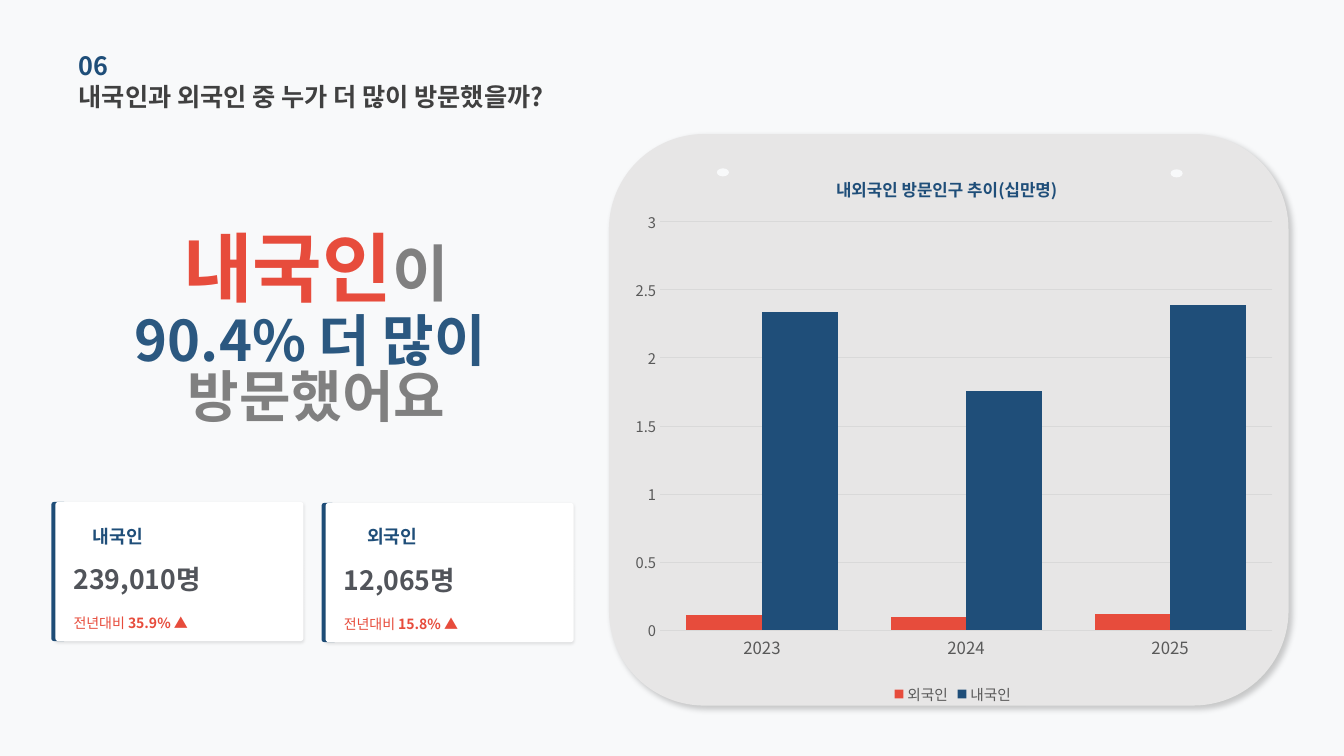
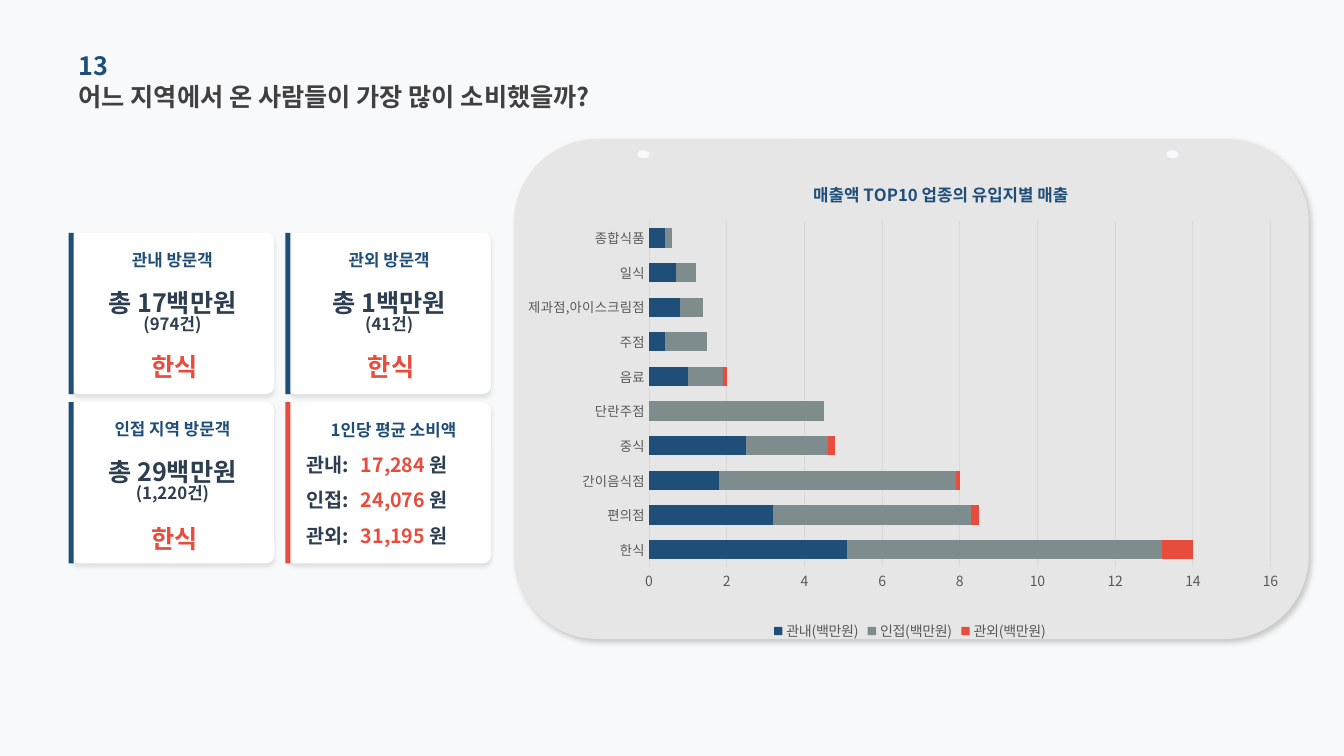
from lxml import etree
from pptx import Presentation
from pptx.chart.data import CategoryChartData
from pptx.dml.color import RGBColor
from pptx.enum.chart import XL_CHART_TYPE, XL_LEGEND_POSITION, XL_TICK_MARK
from pptx.enum.shapes import MSO_SHAPE
from pptx.enum.text import MSO_ANCHOR, PP_ALIGN
from pptx.oxml import parse_xml
from pptx.oxml.ns import nsdecls, qn
from pptx.util import Pt

PX = 9144  # EMU per px, 100 px to the inch
FONT = "Noto Sans CJK KR"
PAPER = RGBColor(0xF8, 0xF9, 0xFA)
PANEL = RGBColor(0xE7, 0xE6, 0xE6)
WHITE = RGBColor(0xFF, 0xFF, 0xFF)
NAVY = RGBColor(0x1F, 0x4E, 0x79)
BLUE = RGBColor(0x2B, 0x58, 0x80)
RED = RGBColor(0xE7, 0x4C, 0x3C)
INK = RGBColor(0x40, 0x40, 0x40)
SLATE = RGBColor(0x2C, 0x3E, 0x50)
AMOUNT = RGBColor(0x51, 0x54, 0x5A)
GRAY = RGBColor(0x80, 0x80, 0x80)
STEEL = RGBColor(0x7F, 0x8C, 0x8D)
AXIS = RGBColor(0x59, 0x59, 0x59)
GRID = RGBColor(0xD9, 0xD9, 0xD9)
LEFT, CENTER = PP_ALIGN.LEFT, PP_ALIGN.CENTER
ROUND = MSO_SHAPE.ROUNDED_RECTANGLE
PANEL_SHADOW = (20, 4, 3, 45)
CARD_SHADOW = (10, 2, 1, 90)
TILE_SHADOW = (10, 3, 2, 90)


def add_box(s, kind, at, fill, shadow=None, adj=None):
    """Add a filled shape; shadow is (opacity %, blur pt, distance pt, degrees)."""
    sp = s.shapes.add_shape(kind, *(v * PX for v in at))
    sp.shadow.inherit = False
    sp.fill.solid()
    sp.fill.fore_color.rgb = fill
    sp.line.fill.background()
    if adj is not None:
        sp.adjustments[0] = adj
    if shadow:
        alpha, blur, dist, angle = shadow
        sp._element.spPr.find(qn("a:effectLst")).append(parse_xml(
            f'<a:outerShdw {nsdecls("a")} blurRad="{Pt(blur)}" dist="{Pt(dist)}" '
            f'dir="{angle * 60000}" algn="ctr" rotWithShape="0"><a:srgbClr val="000000">'
            f'<a:alpha val="{alpha * 1000}"/></a:srgbClr></a:outerShdw>'))


def add_text(s, at, paragraphs, align=LEFT, spacing=None):
    """Add a text box; each paragraph is a list of (text, size, colour, bold) runs."""
    tf = s.shapes.add_textbox(*(v * PX for v in at)).text_frame
    frame = dict(word_wrap=True, vertical_anchor=MSO_ANCHOR.MIDDLE, margin_left=0,
                 margin_right=0, margin_top=0, margin_bottom=0)
    for name, value in frame.items():
        setattr(tf, name, value)
    for i, runs in enumerate(paragraphs):
        p = tf.add_paragraph() if i else tf.paragraphs[0]
        p.alignment = align
        p.line_spacing = spacing
        for text, size, color, bold in runs:
            r = p.add_run()
            r.text = text
            for name, value in dict(size=Pt(size), bold=bold, name=FONT).items():
                setattr(r.font, name, value)
            r.font.color.rgb = color
            etree.SubElement(r.font._element, qn("a:ea")).set("typeface", FONT)


prs = Presentation()
prs.slide_width, prs.slide_height = 1333 * PX, 750 * PX

pages = [
    dict(number="06", title="내국인과 외국인 중 누가 더 많이 방문했을까?",
         panel=(604, 133, 674, 567), holes=[(711, 167), (1161, 168)],
         chart=(615, 148, 660, 555), kind=XL_CHART_TYPE.COLUMN_CLUSTERED,
         heading="내외국인 방문인구 추이(십만명)", heading_at=(0.32, 0.04),
         plot=(0.06, 0.13, 0.92, 0.73), gap=70, overlap=0, top=3, step=0.5,
         cat_size=12, val_size=10.5, legend_size=10.5,
         cats=["2023", "2024", "2025"],
         series=[("외국인", RED, [0.11, 0.1, 0.12]),
                 ("내국인", NAVY, [2.34, 1.76, 2.39])]),
    dict(number="13", title="어느 지역에서 온 사람들이 가장 많이 소비했을까?",
         panel=(510, 138, 788, 496), holes=[(632, 149), (1157, 149)],
         chart=(522, 156, 761, 484), kind=XL_CHART_TYPE.BAR_STACKED,
         heading="매출액 TOP10 업종의 유입지별 매출", heading_at=(0.37, 0.04),
         plot=(0.16, 0.13, 0.81, 0.71), gap=80, overlap=100, top=16, step=2,
         cat_size=9.5, val_size=10, legend_size=10,
         cats=["한식", "편의점", "간이음식점", "중식", "단란주점", "음료", "주점",
               "제과점,아이스크림점", "일식", "종합식품"],
         series=[("관내(백만원)", NAVY, [5.1, 3.2, 1.8, 2.5, 0, 1, 0.4, 0.8, 0.7, 0.4]),
                 ("인접(백만원)", STEEL, [8.1, 5.1, 6.1, 2.1, 4.5, 0.9, 1.1, 0.6, 0.5, 0.2]),
                 ("관외(백만원)", RED, [0.8, 0.2, 0.1, 0.2, 0, 0.1, 0, 0, 0, 0])]),
]

# Title, panel and chart of every slide
slides = []
for page in pages:
    s = prs.slides.add_slide(prs.slide_layouts[6])
    slides.append(s)
    s.background.fill.solid()
    s.background.fill.fore_color.rgb = PAPER
    add_box(s, ROUND, page["panel"], PANEL, PANEL_SHADOW)
    for x, y in page["holes"]:
        add_box(s, MSO_SHAPE.OVAL, (x, y, 12, 8), PAPER)
    add_text(s, (78, 44, 452, 41), [[(page["number"], 18, NAVY, True)]])
    add_text(s, (78, 75, 535, 41), [[(page["title"], 18, INK, True)]])

    data = CategoryChartData()
    data.categories = page["cats"]
    for name, _, values in page["series"]:
        data.add_series(name, values)
    chart = s.shapes.add_chart(page["kind"], *(v * PX for v in page["chart"]), data).chart
    chart.font.name = FONT
    chart.has_legend = True
    chart.legend.position = XL_LEGEND_POSITION.BOTTOM
    chart.legend.include_in_layout = False

    title_tf = chart.chart_title.text_frame
    title_tf.text = page["heading"]
    fonts = [(title_tf.paragraphs[0].runs[0].font, 12, NAVY, True),
             (chart.legend.font, page["legend_size"], AXIS, False),
             (chart.category_axis.tick_labels.font, page["cat_size"], AXIS, False),
             (chart.value_axis.tick_labels.font, page["val_size"], AXIS, False)]
    for font, size, color, bold in fonts:
        for name, value in dict(size=Pt(size), bold=bold, name=FONT).items():
            setattr(font, name, value)
        font.color.rgb = color

    for axis in (chart.category_axis, chart.value_axis):
        axis.major_tick_mark = axis.minor_tick_mark = XL_TICK_MARK.NONE
    value_axis = chart.value_axis
    limits = dict(minimum_scale=0, maximum_scale=page["top"], major_unit=page["step"])
    for name, value in limits.items():
        setattr(value_axis, name, value)
    value_axis.format.line.fill.background()
    for line in (chart.category_axis.format.line, value_axis.major_gridlines.format.line):
        line.color.rgb = GRID
        line.width = Pt(0.75)

    plot = chart.plots[0]
    plot.gap_width, plot.overlap = page["gap"], page["overlap"]
    plot.vary_by_categories = False
    for series, (_, color, _) in zip(plot.series, page["series"]):
        series.format.fill.solid()
        series.format.fill.fore_color.rgb = color

    # Fixed places for the heading and the inner plot area
    title_el = chart.chart_title._element
    plot_el = chart._chartSpace.chart.plotArea
    for el, places, target in ((title_el, page["heading_at"], ""),
                               (plot_el, page["plot"], '<c:layoutTarget val="inner"/>')):
        for old in el.findall(qn("c:layout")):
            el.remove(old)
        keys = ("x", "y", "w", "h")[:len(places)]
        modes = "".join(f'<c:{k}Mode val="edge"/>' for k in keys[:2])
        sizes = "".join(f'<c:{k} val="{v}"/>' for k, v in zip(keys, places))
        layout = parse_xml(f'<c:layout {nsdecls("c")}><c:manualLayout>{target}{modes}{sizes}'
                           '</c:manualLayout></c:layout>')
        el.insert(1 if el is title_el else 0, layout)

# Visitors: headline and two cards
s = slides[0]
add_text(s, (99, 240, 429, 48), [[("내국인", 54, RED, True), ("이", 44, GRAY, True)]], CENTER)
add_text(s, (38, 328, 552, 84), [[("90.4% 더 많이 ", 40, BLUE, True)],
                                 [("방문했어요", 40, GRAY, True)]], CENTER, 0.83)
visitors = [(55, 498, 37, "내국인", "239,010명", "35.9% ▲"),
            (323, 499, 41, "외국인", "12,065명", "15.8% ▲")]
for x, y, indent, group, count, change in visitors:
    add_box(s, ROUND, (x - 4, y, 15, 138), NAVY)
    add_box(s, ROUND, (x, y, 246, 138), WHITE, CARD_SHADOW, 0.02)
    add_text(s, (x + indent, 518, 65, 28), [[(group, 13, NAVY, True)]])
    add_text(s, (x + 18, y + 57, 220, 39), [[(count, 19, AMOUNT, True)]])
    add_text(s, (x + 18, y + 97, 220, 45), [[("전년대비 ", 10, RED, False),
                                             (change, 10, RED, True)]])

# Spending: three tiles and the average per person, in a 2 x 2 grid
s = slides[1]
tiles = [("관내 방문객", "총 17백만원", "(974건)", 109),
         ("관외 방문객", "총 1백만원", "(41건)", 109),
         ("인접 지역 방문객", "총 29백만원", "(1,220건)", 112),
         None]
for i, tile in enumerate(tiles):
    x, y = 70 + 215 * (i % 2), 231 + 168 * (i // 2)
    add_box(s, ROUND, (x, y, 202, 160), WHITE, TILE_SHADOW, 0.05)
    add_box(s, MSO_SHAPE.RECTANGLE, (x - 2, y, 5, 160), NAVY if tile else RED)
    if tile:
        group, total, count, food_y = tile
        add_text(s, (x, y + 11, 202, 31), [[(group, 12, NAVY, True)]], CENTER)
        add_text(s, (x, y + 56, 202, 47), [[(total, 18, SLATE, True)],
                                           [(count, 12, SLATE, True)]], CENTER, 0.83)
        add_text(s, (x + 3, y + food_y, 200, 47), [[("한식", 18, RED, True)]], CENTER)

add_text(s, (328, 414, 140, 25), [[("1인당 평균 소비액", 12, NAVY, True)]])
averages = [("관내:", "17,284 "), ("인접:", "24,076 "), ("관외:", "31,195 ")]
for i, (region, amount) in enumerate(averages):
    y = 446 + 35 * i
    add_text(s, (304, y, 59, 30), [[(region, 14, SLATE, True)]])
    add_text(s, (358, y, 120, 30), [[(amount, 14, RED, True), ("원", 14, SLATE, True)]])

prs.save("out.pptx")
